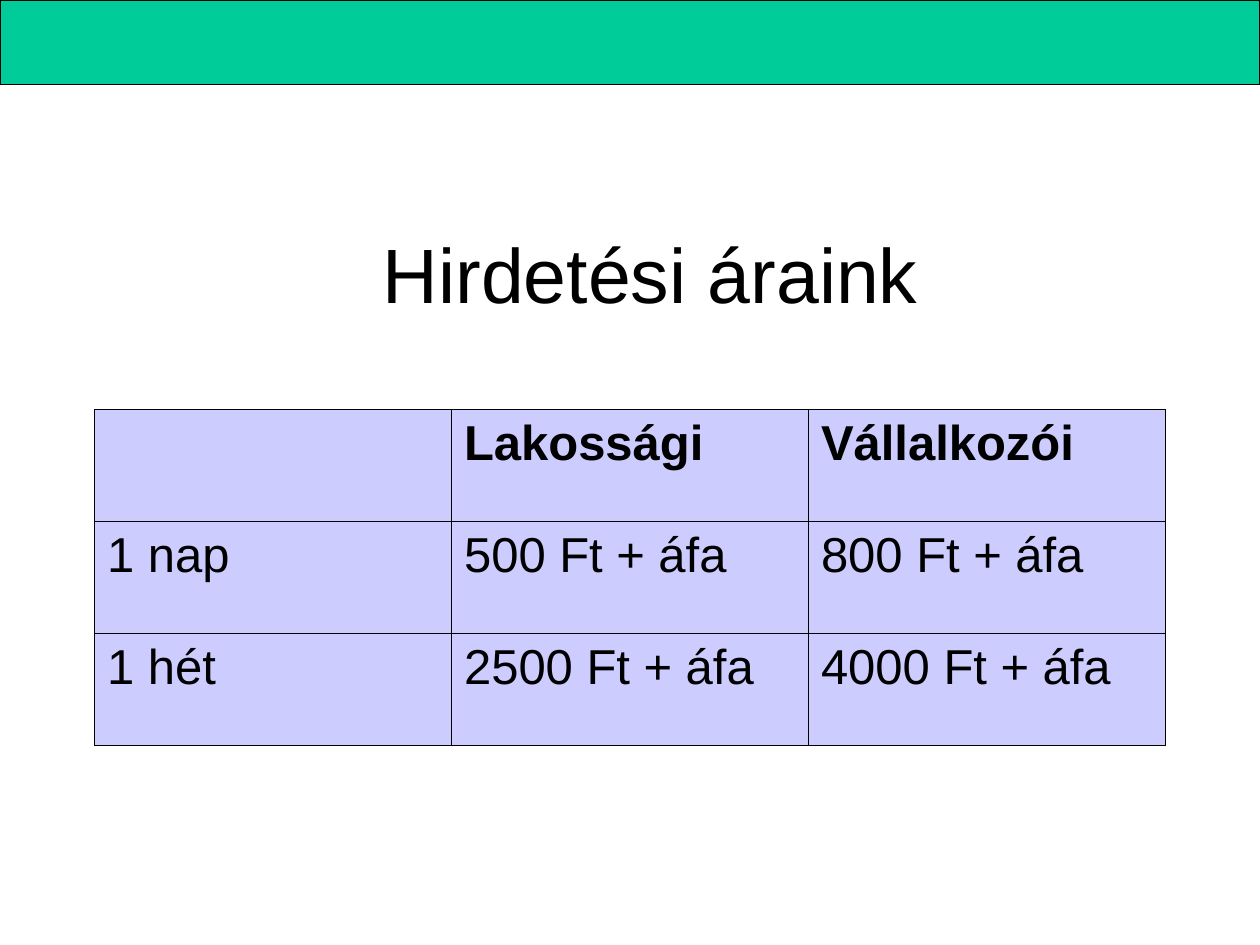
from lxml import etree
from pptx import Presentation
from pptx import util as u
from pptx.dml.color import RGBColor
from pptx.enum import shapes, text
from pptx.oxml import ns

BLACK = RGBColor(0x00, 0x00, 0x00)
GREEN = RGBColor(0x00, 0xCC, 0x99)
LAVENDER = RGBColor(0xCC, 0xCC, 0xFF)

PRICES = [
    ["", "Lakossági", "Vállalkozói"],
    ["1 nap", "500 Ft + áfa", "800 Ft + áfa"],
    ["1 hét", "2500 Ft + áfa", "4000 Ft + áfa"],
]


class SlideBuilder:
    font_name = "Arial"
    text_color = BLACK
    border_width = u.Pt(0.5)

    def __init__(self, slide):
        self.slide = slide

    def style_text(self, paragraph, size, bold=False):
        for run in paragraph.runs:
            run.font.name = self.font_name
            run.font.size = u.Pt(size)
            run.font.bold = bold
            run.font.color.rgb = self.text_color

    def band(self, left, top, width, height, color):
        shape = self.slide.shapes.add_shape(
            shapes.MSO_SHAPE.RECTANGLE,
            u.Inches(left), u.Inches(top), u.Inches(width), u.Inches(height))
        shape.shadow.inherit = False
        shape.fill.solid()
        shape.fill.fore_color.rgb = color
        shape.line.color.rgb = BLACK
        shape.line.width = u.Pt(0.75)

    def title(self, left, top, width, height, words, size):
        shape = self.slide.shapes.add_textbox(
            u.Inches(left), u.Inches(top), u.Inches(width), u.Inches(height))
        text_frame = shape.text_frame
        text_frame.word_wrap = False
        text_frame.auto_size = text.MSO_AUTO_SIZE.SHAPE_TO_FIT_TEXT
        text_frame.text = words
        self.style_text(text_frame.paragraphs[0], size)

    def add_borders(self, cell):
        """Draw all four borders, placed before the fill as the schema asks."""
        properties = cell._tc.get_or_add_tcPr()
        for index, side in enumerate(("a:lnL", "a:lnR", "a:lnT", "a:lnB")):
            line = etree.Element(ns.qn(side), w=str(self.border_width))
            fill = etree.SubElement(line, ns.qn("a:solidFill"))
            etree.SubElement(fill, ns.qn("a:srgbClr"), val=str(BLACK))
            properties.insert(index, line)

    def table(self, left, top, width, height, rows, size, color):
        """Add an evenly divided table with a bold first row."""
        table = self.slide.shapes.add_table(
            len(rows), len(rows[0]),
            u.Inches(left), u.Inches(top), u.Inches(width), u.Inches(height)).table
        for row_index, row in enumerate(rows):
            for column_index, words in enumerate(row):
                cell = table.cell(row_index, column_index)
                cell.fill.solid()
                cell.fill.fore_color.rgb = color
                self.add_borders(cell)
                cell.text_frame.text = words
                self.style_text(cell.text_frame.paragraphs[0], size, row_index == 0)


def main():
    presentation = Presentation()
    presentation.slide_width = u.Inches(10)
    presentation.slide_height = u.Inches(7.5)
    slide = presentation.slides.add_slide(presentation.slide_layouts[6])

    builder = SlideBuilder(slide)
    builder.band(0, 0, 10, 0.67, GREEN)
    builder.table(0.75, 3.25, 8.5, 2.67, PRICES, 28, LAVENDER)
    builder.title(2.94, 1.75, 4.45, 0.83, "Hirdetési áraink", 44)

    presentation.save("out.pptx")


if __name__ == "__main__":
    main()
